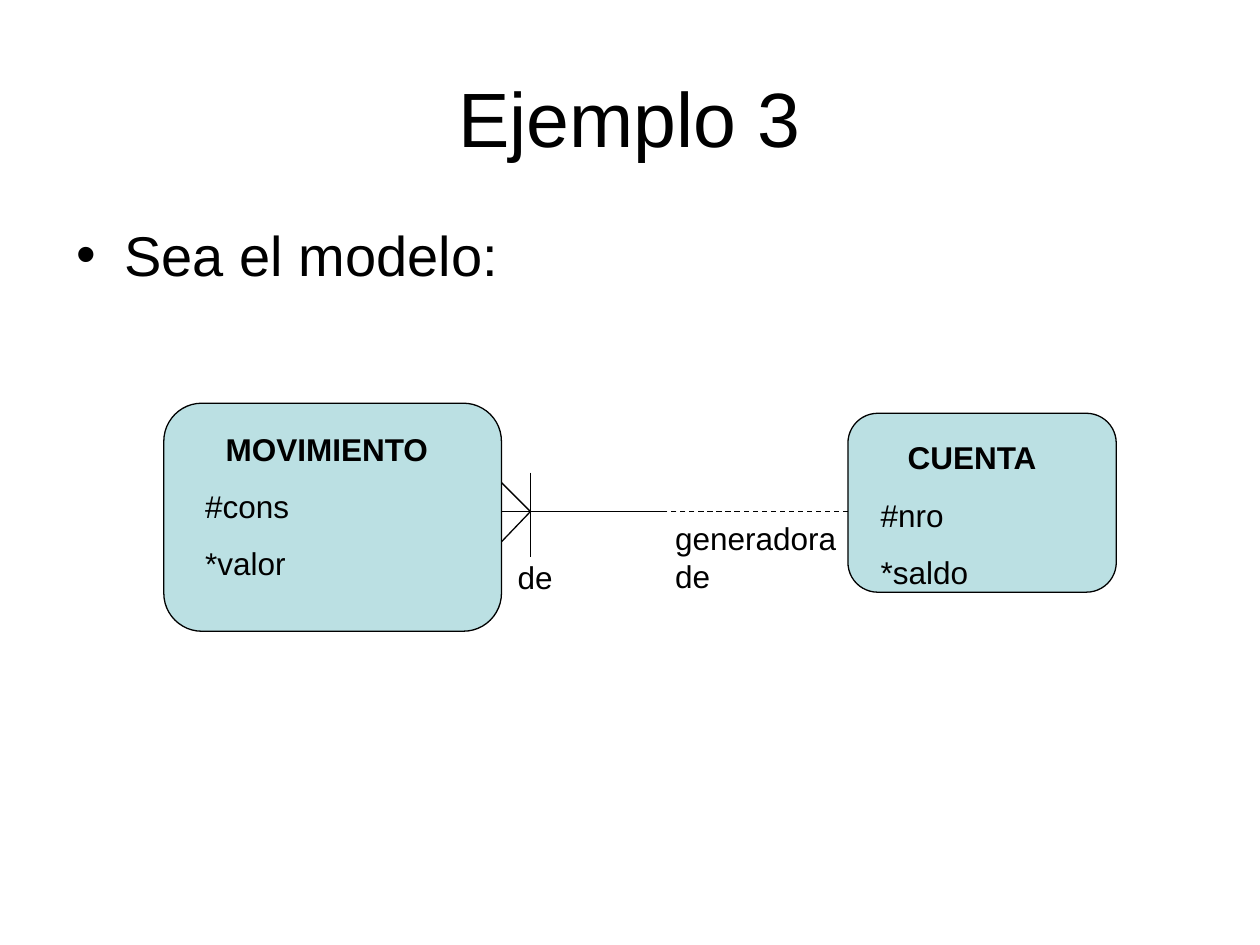
from dataclasses import dataclass

from lxml import etree
from pptx import Presentation
from pptx.dml.color import RGBColor
from pptx.enum.dml import MSO_LINE
from pptx.enum.shapes import MSO_CONNECTOR, MSO_SHAPE
from pptx.enum.text import MSO_ANCHOR, MSO_AUTO_SIZE, PP_ALIGN
from pptx.oxml.ns import qn
from pptx.util import Inches, Pt

ROUNDED = MSO_SHAPE.ROUNDED_RECTANGLE
STRAIGHT = MSO_CONNECTOR.STRAIGHT
DASH = MSO_LINE.DASH
LEFT, CENTER = PP_ALIGN.LEFT, PP_ALIGN.CENTER
MIDDLE = MSO_ANCHOR.MIDDLE
FIT_SHAPE, NO_FIT = MSO_AUTO_SIZE.SHAPE_TO_FIT_TEXT, MSO_AUTO_SIZE.NONE


@dataclass(frozen=True)
class Theme:
    font: str = "Arial"
    ink: RGBColor = RGBColor(0, 0, 0)
    entity_fill: RGBColor = RGBColor(0xBB, 0xE0, 0xE3)
    title_size: int = 44
    body_size: int = 32
    label_size: int = 18
    line_width: float = 0.75


def write(paragraph, text, *, theme, size, bold=False, align=LEFT, before=0):
    """Put formatted text into a paragraph."""
    paragraph.alignment = align
    paragraph.space_before = Pt(before)
    run = paragraph.add_run()
    run.text = text
    run.font.name = theme.font
    run.font.size = Pt(size)
    run.font.bold = bold
    run.font.color.rgb = theme.ink


class ModelSlide:
    def __init__(self, slide, theme):
        self.slide = slide
        self.theme = theme

    def title(self, text, left, top, width, height):
        heading = self.slide.shapes.title
        heading.left, heading.top = Inches(left), Inches(top)
        heading.width, heading.height = Inches(width), Inches(height)
        heading.text_frame.vertical_anchor = MIDDLE
        heading.text_frame.auto_size = NO_FIT
        write(heading.text_frame.paragraphs[0], text, theme=self.theme,
              size=self.theme.title_size, align=CENTER)

    def text_box(self, left, top, width, height, wrap=True, fit=FIT_SHAPE):
        frame = self.slide.shapes.add_textbox(
            Inches(left), Inches(top), Inches(width), Inches(height)).text_frame
        frame.word_wrap = wrap
        frame.auto_size = fit
        return frame

    def bullet(self, text, left, top, width, height):
        frame = self.text_box(left, top, width, height, fit=NO_FIT)
        paragraph = frame.paragraphs[0]
        write(paragraph, text, theme=self.theme,
              size=self.theme.body_size, before=8)
        properties = paragraph._p.get_or_add_pPr()
        indent = Inches(0.38)
        properties.set("marL", str(indent))
        properties.set("indent", str(-indent))
        etree.SubElement(properties, qn("a:buFont"), typeface=self.theme.font)
        etree.SubElement(properties, qn("a:buChar"), char="•")

    def lines_of_text(self, frame, lines, **style):
        for line in lines:
            last = frame.paragraphs[-1]
            paragraph = frame.add_paragraph() if last.runs else last
            write(paragraph, line, theme=self.theme,
                  size=self.theme.label_size, **style)

    def entity_box(self, left, top, width, height):
        box = self.slide.shapes.add_shape(
            ROUNDED, Inches(left), Inches(top), Inches(width), Inches(height))
        box.shadow.inherit = False
        box.fill.solid()
        box.fill.fore_color.rgb = self.theme.entity_fill
        self.outline(box.line)

    def entity_text(self, name, attributes, left, top, width, height):
        frame = self.text_box(left, top, width, height)
        self.lines_of_text(frame, [name], bold=True, align=CENTER, before=11.2)
        self.lines_of_text(frame, attributes, before=11.2)

    def role(self, lines, left, top, width, height):
        frame = self.text_box(left, top, width, height, wrap=False)
        self.lines_of_text(frame, lines)

    def line(self, start, end, dash=None):
        connector = self.slide.shapes.add_connector(
            STRAIGHT, *(Inches(value) for value in (*start, *end)))
        etree.SubElement(connector._element.spPr, qn("a:effectLst"))
        self.outline(connector.line)
        if dash is not None:
            connector.line.dash_style = dash

    def outline(self, line):
        line.color.rgb = self.theme.ink
        line.width = Pt(self.theme.line_width)


def main():
    presentation = Presentation()
    presentation.slide_width, presentation.slide_height = Inches(10), Inches(7.5)
    title_only = presentation.slide_layouts[5]
    model = ModelSlide(presentation.slides.add_slide(title_only), Theme())

    # Heading and introduction
    model.title("Ejemplo 3", 0.5, 0.3, 9, 1.25)
    model.bullet("Sea el modelo:", 0.51, 1.7, 9, 0.66)

    # Entities
    model.entity_box(1.3, 3.2, 2.68, 1.81)
    model.entity_box(6.73, 3.28, 2.13, 1.42)
    model.entity_text("MOVIMIENTO", ["#cons", "*valor"], 1.53, 3.36, 2.13, 1.32)
    model.entity_text("CUENTA", ["#nro", "*saldo"], 6.89, 3.43, 1.65, 1.32)

    # Relationship: mandatory half solid, optional half dashed
    movement_edge, account_edge, halfway, axis = 3.98, 6.73, 5.25, 4.06
    model.line((movement_edge, axis), (halfway, axis))
    model.line((account_edge, axis), (halfway, axis), dash=DASH)

    # Crow's foot and identifying bar
    foot = 4.21
    for toe in (3.83, 4.3):
        model.line((movement_edge, toe), (foot, axis))
    model.line((foot, 3.75), (foot, 4.42))

    # Role names
    model.role(["de"], 4.01, 4.38, 0.48, 0.4)
    model.role(["generadora", "de"], 5.26, 4.07, 1.55, 0.7)

    presentation.save("out.pptx")


if __name__ == "__main__":
    main()
